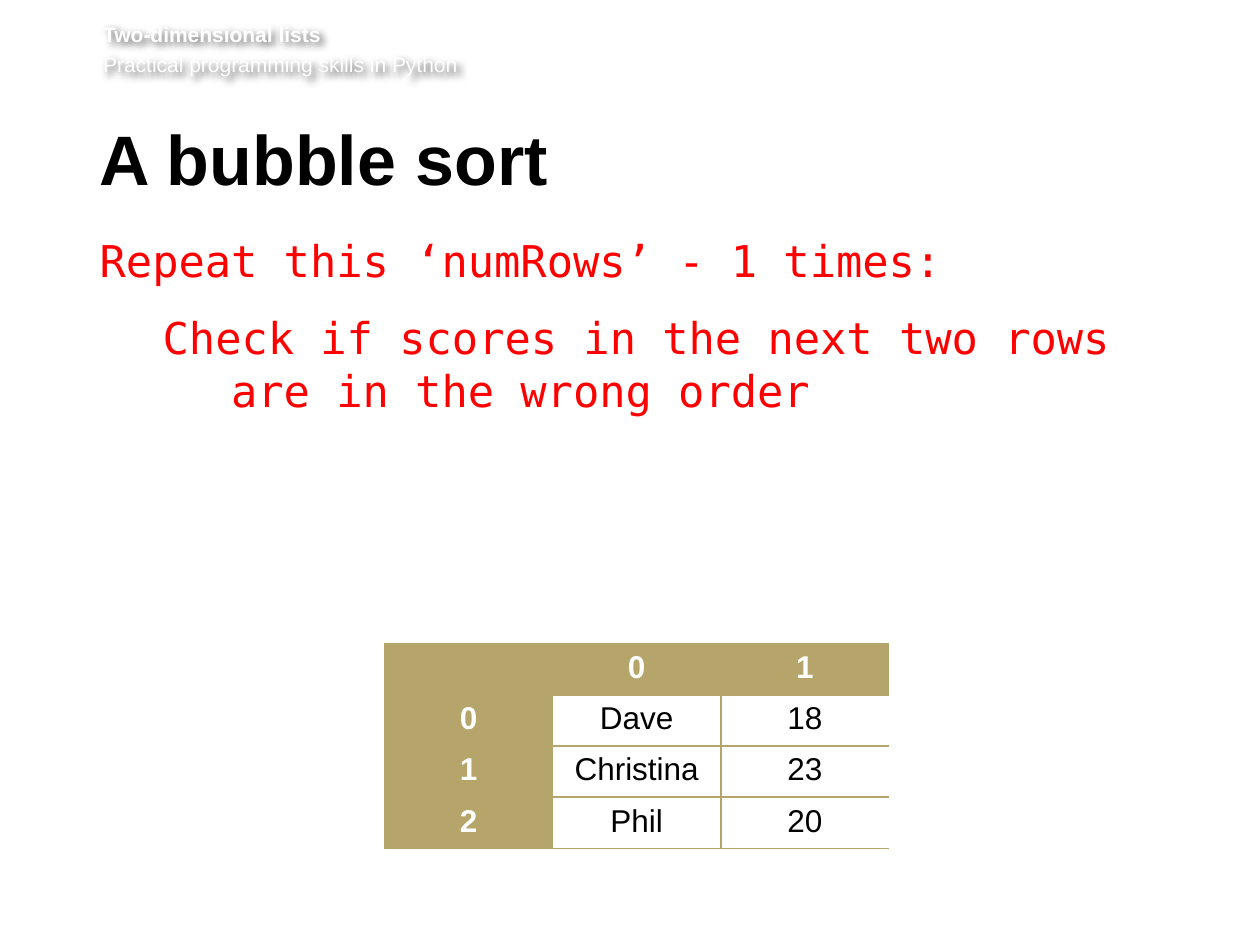
from dataclasses import dataclass

from lxml import etree
from pptx import Presentation, util as u
from pptx.dml.color import RGBColor
from pptx.enum import text as t
from pptx.oxml import ns

GOLD, WHITE, BLACK, RED = "B5A56A", "FFFFFF", "000000", "FF0000"
SANS, MONO = "Arial", "DejaVu Sans Mono"


@dataclass
class Line:
    words: str
    size: float
    color: str
    face: str = SANS
    bold: bool = False
    before: float = 0
    after: float = 0
    lead: float = 0  # exact line height in points
    left: float = 0  # indents in cm
    first: float = 0


@dataclass
class Box:
    left: float
    top: float
    width: float
    height: float
    inset: tuple[float, float, float, float]  # left, top, right, bottom
    lines: list[Line]


def rgb(code: str) -> RGBColor:
    return RGBColor.from_string(code)


def style(para, size: float, color: str, face: str, bold: bool) -> None:
    font = para.font
    font.size, font.name, font.bold = u.Pt(size), face, bold
    font.color.rgb = rgb(color)


def add_box(slide, box: Box):
    shape = slide.shapes.add_textbox(
        *map(u.Cm, (box.left, box.top, box.width, box.height)))
    frame = shape.text_frame
    frame.word_wrap = True
    (frame.margin_left, frame.margin_top,
     frame.margin_right, frame.margin_bottom) = map(u.Cm, box.inset)
    for i, line in enumerate(box.lines):
        para = frame.add_paragraph() if i else frame.paragraphs[0]
        para.text = line.words
        style(para, line.size, line.color, line.face, line.bold)
        para.space_before, para.space_after = u.Pt(line.before), u.Pt(line.after)
        if line.lead:
            para.line_spacing = u.Pt(line.lead)
        if line.left:
            props = para._p.get_or_add_pPr()
            props.set("marL", str(u.Cm(line.left)))
            props.set("indent", str(u.Cm(line.first)))
    return shape


def add_glow(shape) -> None:
    """Soft dark shadow behind the letters of an unfilled box."""
    shape._element.spPr.append(etree.fromstring(
        f'<a:effectLst {ns.nsdecls("a")}>'
        '<a:outerShdw blurRad="50800" dist="38100" dir="2700000" algn="tl">'
        '<a:srgbClr val="000000"><a:alpha val="60000"/></a:srgbClr>'
        '</a:outerShdw></a:effectLst>'))


def add_edges(cell, first: bool, last: bool) -> None:
    """Gold lines on every side but the outer left and right."""
    gold = f'<a:solidFill><a:srgbClr val="{GOLD}"/></a:solidFill>'
    bare = {"L": first, "R": last, "T": False, "B": False}
    props = cell._tc.get_or_add_tcPr()
    for i, (side, none) in enumerate(bare.items()):
        paint = "<a:noFill/>" if none else gold
        props.insert(i, etree.fromstring(
            f'<a:ln{side} {ns.nsdecls("a")} w="12700">{paint}</a:ln{side}>'))


def add_grid(slide, rows: list[list[str]], left: float, top: float,
             wide: float, high: float) -> None:
    count = len(rows[0])
    table = slide.shapes.add_table(
        len(rows), count, u.Cm(left), u.Cm(top),
        u.Cm(wide * count), u.Cm(high * len(rows))).table
    table.first_row = table.horz_banding = False
    for col in table.columns:
        col.width = u.Cm(wide)
    for r, row in enumerate(rows):
        table.rows[r].height = u.Cm(high)
        for c, words in enumerate(row):
            cell, head = table.cell(r, c), r == 0 or c == 0
            cell.text = words
            para = cell.text_frame.paragraphs[0]
            para.alignment = t.PP_ALIGN.CENTER
            style(para, 18, WHITE if head else BLACK, SANS, head)
            if head:
                cell.fill.solid()
                cell.fill.fore_color.rgb = rgb(GOLD)
            else:
                cell.fill.background()
            add_edges(cell, c == 0, c == count - 1)


def main() -> None:
    deck = Presentation()
    deck.slide_width, deck.slide_height = u.Cm(25.4), u.Cm(19.05)
    slide = deck.slides.add_slide(deck.slide_layouts[6])

    # Running header
    add_glow(add_box(slide, Box(2.08, 0.43, 22.4, 1.24, (0, 0, 0, 0.13), [
        Line("Two-dimensional lists", 12, WHITE, bold=True, before=2.9),
        Line("Practical programming skills in Python", 12, WHITE, before=2.9),
    ])))

    # Title
    add_box(slide, Box(2.01, 2.51, 21.72, 1.85, (0, 0.13, 0.25, 0.13), [
        Line("A bubble sort", 40, BLACK, bold=True, after=15, lead=39),
    ]))

    # Steps of the sort
    add_box(slide, Box(2.01, 4.72, 21.67, 9.6, (0, 0, 0.25, 0.13), [
        Line("Repeat this ‘numRows’ - 1 times:", 25, RED, MONO, after=14),
        Line("Check if scores in the next two rows are in the wrong order",
             25, RED, MONO, after=14, left=2.65, first=-1.38),
    ]))

    # Scores
    add_grid(slide, [
        ["", "0", "1"],
        ["0", "Dave", "18"],
        ["1", "Christina", "23"],
        ["2", "Phil", "20"],
    ], left=7.75, top=12.98, wide=3.39, high=1.03)

    deck.save("out.pptx")


if __name__ == "__main__":
    main()
